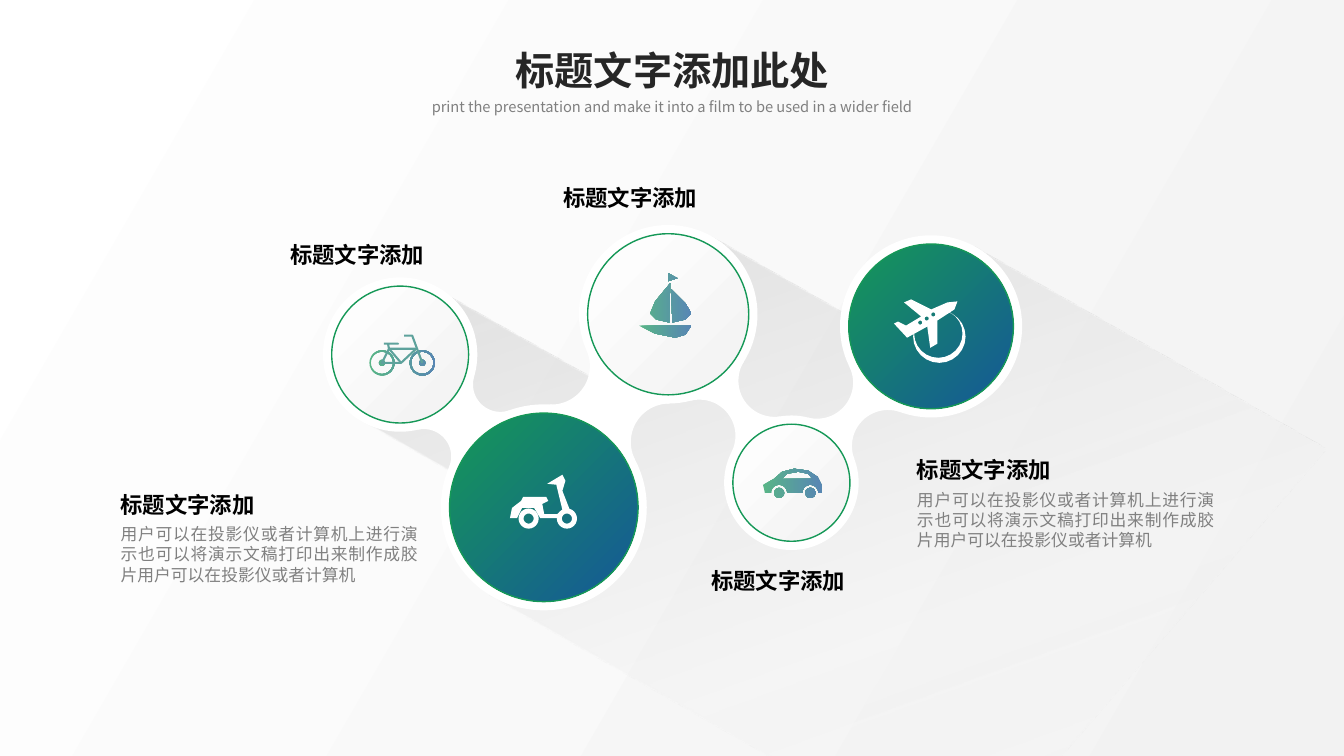
from itertools import pairwise
from lxml import etree
from math import atan2, cos, hypot, pi, remainder, sin, sqrt
from pptx import Presentation
from pptx.dml.color import RGBColor
from pptx.enum.shapes import MSO_SHAPE
from pptx.enum.text import MSO_ANCHOR, MSO_AUTO_SIZE, PP_ALIGN
from pptx.oxml.ns import qn
from pptx.util import Cm, Pt

TITLE = ("标题文字添加此处", 12.37, 1.04, 9.14, 1.45)
SUBTITLE = ("print the presentation and make it into a film to be used in a wider field",
            10.16, 2.34, 13.56, 0.76)
HEAD = "标题文字添加"
BODY = "用户可以在投影仪或者计算机上进行演示也可以将演示文稿打印出来制作成胶片用户可以在投影仪或者计算机"
CAPTIONS = [(6.81, 5.94), (13.69, 4.52), (17.42, 14.17)]
NOTES = [(2.79, 12.24), (22.86, 11.38)]
CIRCLES = [
    ("light", 8.36, 7.21, 3.45),
    ("dark", 11.33, 10.41, 4.75),
    ("light", 14.81, 5.89, 4.06),
    ("light", 18.47, 10.69, 2.95),
    ("dark", 21.39, 6.15, 4.15),
]
HALO = 0.22
NECK_RADII = [0.69, 0.97, 0.91, 0.91]

THEME = {
    "font": "Noto Sans CJK SC",
    "outline": "159857",
    "frame": "5EA29C",
    "page": (30, [(0, "FFFFFF", 100), (100, "F2F2F2", 100)]),
    "shadow": (70, [(0, "BFBFBF", 50), (61, "F2F2F2", 34), (100, "F2F2F2", 0)]),
    "light": (45, [(0, "FFFFFF", 100), (100, "F2F2F2", 100)]),
    "dark": (45, [(0, "159857", 100), (100, "155798", 100)]),
    "tint": (0, [(0, "159857", 70), (100, "155798", 70)]),
    "white": "FFFFFF",
    "title": ("262626", {"size": Pt(28), "bold": True}),
    "subtitle": ("808080", {"size": Pt(10.5), "bold": False}),
    "head": ("000000", {"size": Pt(16), "bold": True}),
    "body": ("808080", {"size": Pt(12), "bold": False}),
}


def arc(x, y, r, start=0, sweep=2 * pi, steps=24):
    angles = [start + sweep * i / steps for i in range(steps + 1)]
    return [(x + r * cos(a), y + r * sin(a)) for a in angles]


def rings(centers, *radii):
    return [arc(x, y, r) for x, y in centers for r in radii]


GRID = 0.0254
SHADOW = [[(1315, 446), (985, 829), (794, 768), (487, 591), (455, 472), (356, 415),
           (429, 285), (620, 394), (705, 235), (902, 349), (967, 246)]]
PLANE_RING = [arc(932, 334, 26), arc(931, 331, 24)]
PLANE = [
    [(950, 299), (947, 307), (930, 318), (930, 341), (923, 345), (920, 324), (900, 335),
     (887, 321), (891, 319), (899, 323), (914, 314), (897, 300), (904, 297), (924, 307),
     (940, 300)],
    *rings([(926 - 6.5 * i, 312 + 4 * i) for i in range(3)], 2)]
CAR_WHEELS = [(804, 489), (773, 489)]
CAR = [
    [(759, 489), (757, 481), (768, 475), (776, 468), (788, 465), (802, 467), (811, 473),
     (815, 481), (815, 489)] + [pt for x, y in CAR_WHEELS for pt in arc(x, y, 8, 0, -pi)],
    [(776, 475), (781, 470), (792, 468), (802, 470), (806, 475)],
    *rings(CAR_WHEELS, 5)]
SCOOTER_WHEELS = rings([(524.5, 514.5), (562.5, 514.5)], 10, 5)
SCOOTER = [
    [(506, 514), (508, 504), (517, 497), (519, 493), (542, 493), (544, 497), (538, 500),
     (540, 510), (553, 510), (558, 506), (552, 481), (543, 480), (558, 471), (561, 477),
     (558, 487), (565, 505), (553, 514), (536, 514), (530, 504), (518, 504), (513, 514)]]
BIKE_WHEELS = rings([(379, 360), (419, 360)], 12.5, 11, 3)
BIKE_FRAME = [
    [(379, 360), (398, 360), (413, 346), (386, 346), (379, 360)],
    [(381, 341), (395, 341), (385, 341), (386, 346), (398, 360)],
    [(401, 333), (409, 333), (419, 360)]]
SAILBOAT = [
    [(666, 287), (680, 301), (686, 311), (680, 317), (667, 320)],
    [(665, 281), (650, 299), (645, 311), (651, 317), (664, 320)],
    [(672, 276), (663, 271), (663, 279)],
    [(634, 323), (686, 323), (680, 332), (670, 335), (650, 331)]]
ICONS = [(PLANE_RING, "white"), (PLANE, "white"), (CAR, "tint"), (SCOOTER_WHEELS, "white"),
         (SCOOTER, "white"), (BIKE_WHEELS, "tint"), (SAILBOAT, "tint")]


def set_gradient(fill, root, style):
    angle, stops = style
    fill.gradient()
    grad = next(root.iter(qn("a:gradFill")))
    for child in list(grad):
        grad.remove(child)
    gs_list = etree.SubElement(grad, qn("a:gsLst"))
    for pos, color, opacity in stops:
        gs = etree.SubElement(gs_list, qn("a:gs"), pos=str(pos * 1000))
        clr = etree.SubElement(gs, qn("a:srgbClr"), val=color)
        etree.SubElement(clr, qn("a:alpha"), val=str(opacity * 1000))
    etree.SubElement(grad, qn("a:lin"), ang=str(angle * 60000), scaled="0")


def paint(sp, name):
    style = THEME[name]
    sp.shadow.inherit = False
    sp.line.fill.background()
    if isinstance(style, str):
        sp.fill.solid()
        sp.fill.fore_color.rgb = RGBColor.from_string(style)
    else:
        set_gradient(sp.fill, sp._element, style)


def set_line(sp, name, width):
    sp.line.color.rgb = RGBColor.from_string(THEME[name])
    sp.line.width = Pt(width)


def add_outline(s, contours, name, unit=GRID, close=True):
    fb = None
    for contour in contours:
        pts = [(Cm(x * unit), Cm(y * unit)) for x, y in contour]
        fb = fb.move_to(*pts[0]) if fb else s.shapes.build_freeform(*pts[0])
        fb.add_line_segments(pts[1:], close=close)
    sp = fb.convert_to_shape()
    paint(sp, name)
    return sp


def add_circle(s, x, y, d, name):
    sp = s.shapes.add_shape(MSO_SHAPE.OVAL, Cm(x), Cm(y), Cm(d), Cm(d))
    paint(sp, name)
    return sp


def neck(first, second, r):
    (x1, y1, r1), (x2, y2, r2) = [(x + d / 2, y + d / 2, d / 2 + HALO)
                                  for _, x, y, d in (first, second)]
    dist = hypot(x2 - x1, y2 - y1)
    ux, uy = (x2 - x1) / dist, (y2 - y1) / dist
    along = ((r1 + r) ** 2 - (r2 + r) ** 2 + dist ** 2) / (2 * dist)
    across = sqrt((r1 + r) ** 2 - along ** 2)
    sides = []
    for sign in (1, -1):
        cx = x1 + along * ux - sign * across * uy
        cy = y1 + along * uy + sign * across * ux
        start = atan2(y1 - cy, x1 - cx)
        sweep = remainder(atan2(y2 - cy, x2 - cx) - start, 2 * pi)
        sides.append(arc(cx, cy, r, start, sweep))
    return sides[0] + sides[1][::-1]


def set_text(sp, text, style, align, anchor=MSO_ANCHOR.TOP):
    color, fmt = THEME[style]
    tf = sp.text_frame
    frame = {"word_wrap": True, "auto_size": MSO_AUTO_SIZE.NONE, "vertical_anchor": anchor}
    for key, value in frame.items():
        setattr(tf, key, value)
    p = tf.paragraphs[0]
    p.alignment, p.line_spacing = align, 1.0
    r = p.add_run()
    r.text = text
    for key, value in {"name": THEME["font"], **fmt}.items():
        setattr(r.font, key, value)
    r.font.color.rgb = RGBColor.from_string(color)
    etree.SubElement(r._r.rPr, qn("a:ea"), typeface=THEME["font"])


def add_text(s, text, x, y, w, h, style, align):
    set_text(s.shapes.add_textbox(Cm(x), Cm(y), Cm(w), Cm(h)), text, style, align)


def main():
    prs = Presentation()
    prs.slide_width, prs.slide_height = Cm(33.87), Cm(19.05)
    s = prs.slides.add_slide(prs.slide_layouts[5])
    set_gradient(s.background.fill, s._element, THEME["page"])
    title = s.shapes.title
    for key, value in zip(("left", "top", "width", "height"), TITLE[1:]):
        setattr(title, key, Cm(value))
    set_text(title, TITLE[0], "title", PP_ALIGN.CENTER, MSO_ANCHOR.MIDDLE)
    add_text(s, *SUBTITLE, "subtitle", PP_ALIGN.CENTER)
    add_outline(s, SHADOW, "shadow")
    for (first, second), r in zip(pairwise(CIRCLES), NECK_RADII):
        add_outline(s, [neck(first, second, r)], "white", unit=1)
    for _, x, y, d in CIRCLES:
        add_circle(s, x - HALO, y - HALO, d + 2 * HALO, "white")
    for name, x, y, d in CIRCLES:
        set_line(add_circle(s, x, y, d, name), "outline", 1)
    for contours, name in ICONS:
        add_outline(s, contours, name)
    frame = add_outline(s, BIKE_FRAME, "white", close=False)
    frame.fill.background()
    set_line(frame, "frame", 1.5)
    for x, y in NOTES:
        add_text(s, HEAD, x, y, 5.69, 1.02, "head", PP_ALIGN.JUSTIFY)
        add_text(s, BODY, x, y + 0.84, 8, 2.11, "body", PP_ALIGN.JUSTIFY)
    for x, y in CAPTIONS:
        add_text(s, HEAD, x, y, 4.39, 1.02, "head", PP_ALIGN.CENTER)
    prs.save("out.pptx")


if __name__ == "__main__":
    main()
